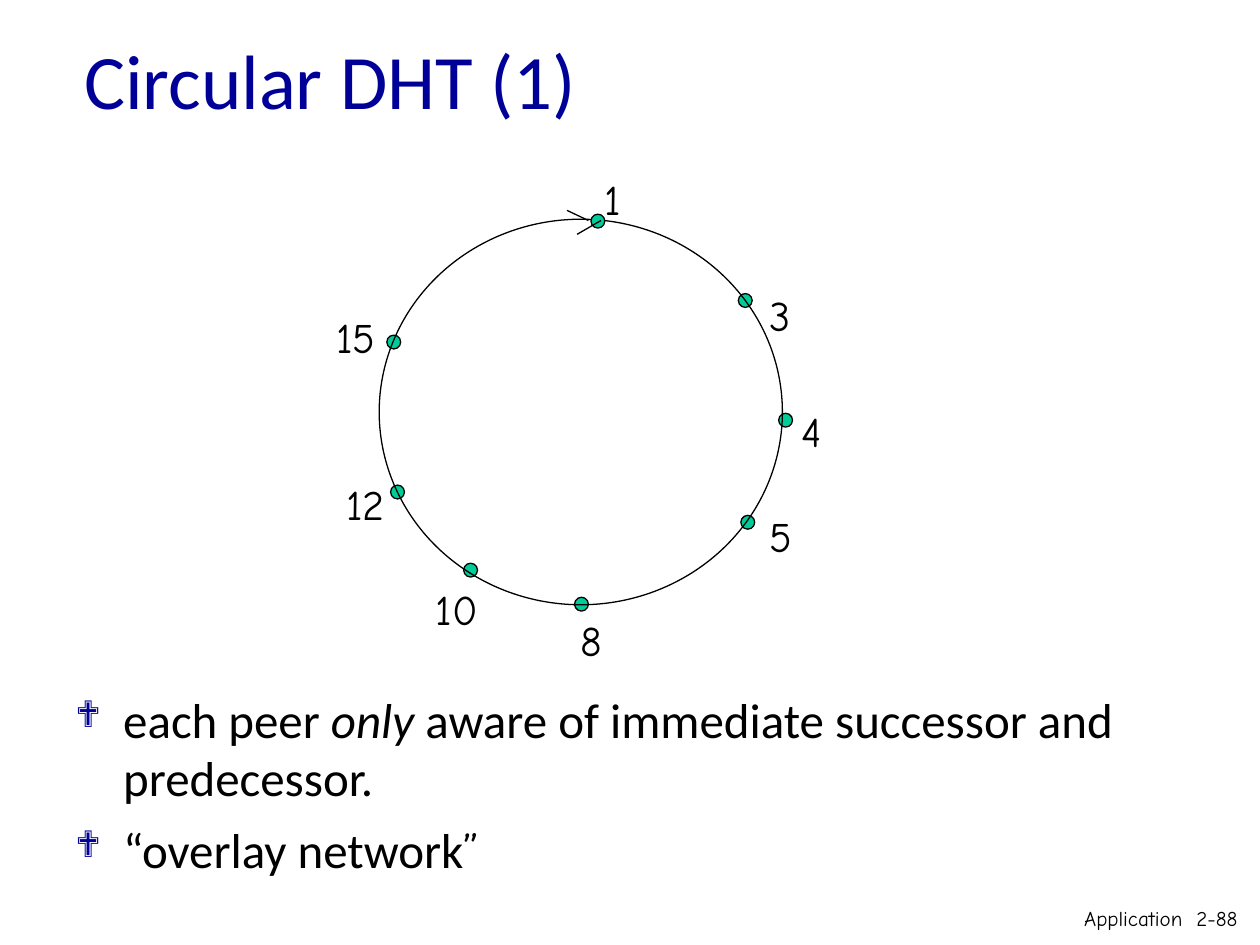
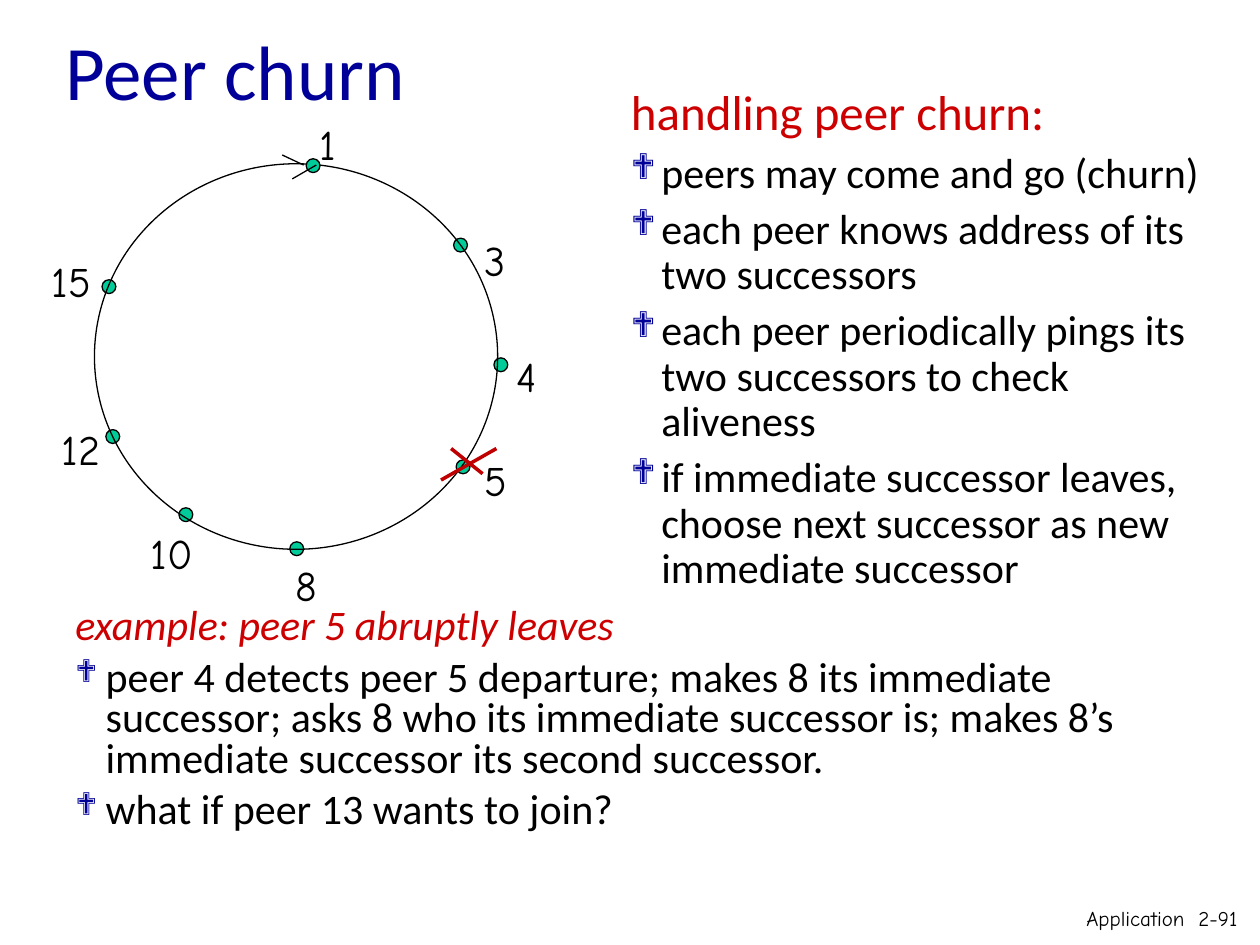
from pptx import Presentation
from pptx.dml.color import RGBColor
from pptx.enum.shapes import MSO_CONNECTOR as CONN, MSO_SHAPE as SHAPE
from pptx.enum.text import MSO_ANCHOR as ANCHOR, PP_ALIGN as ALIGN
from pptx.oxml.ns import qn
from pptx.util import Inches, Pt
from lxml.etree import SubElement

COLORS = {"title": "000099", "text": "000000", "heading": "CC0000",
          "dot": "00CC99", "cross": "C00000"}
BODY, HAND, SYMBOL = "Calibri", "Comic Neue", "Wingdings"
DOT = 0.11
RING_W, RING_H = 3.2, 3.06

PEERS = [
    ("8", (1.55, 3), (1.5, 3.09, 0.37)),
    ("15", (0.06, 0.92), (-0.44, 0.68, 0.51)),
    ("12", (0.09, 2.11), (-0.36, 2.01, 0.5)),
    ("3", (2.85, 0.59), (3, 0.51, 0.37)),
    ("4", (3.17, 1.54), (3.25, 1.43, 0.36)),
    ("5", (2.87, 2.35), (3, 2.26, 0.38)),
    ("10", (0.67, 2.73), (0.35, 2.84, 0.53)),
    ("1", (1.68, -0.04), (1.69, -0.41, 0.33)),
]
ARROW = [(1.49, -0.07, 1.66, 0.01), (1.76, 0.01, 1.57, 0.12)]
CROSS = [(2.83, 2.26, 3.08, 2.46), (3.19, 2.26, 2.75, 2.51)]


class Deck:
    """Holds the shared style and the current slide, and draws each kind of element."""

    def __init__(self):
        self.prs = Presentation()
        self.prs.slide_width, self.prs.slide_height = Inches(10), Inches(7.5)
        self.s = None

    def slide(self):
        self.s = self.prs.slides.add_slide(self.prs.slide_layouts[6])

    def font(self, r, size, color="text", name=BODY, italic=False):
        r.font.name, r.font.size, r.font.italic = name, Pt(size), italic
        r.font.color.rgb = RGBColor.from_string(COLORS[color])

    def box(self, x, y, w, h, into=None):
        shapes = into or self.s.shapes
        tf = shapes.add_textbox(Inches(x), Inches(y), Inches(w), Inches(h)).text_frame
        tf.word_wrap = True
        return tf

    def title(self, text, x, w, h):
        tf = self.box(x, 0, w, h)
        tf.vertical_anchor = ANCHOR.MIDDLE
        tf.text = text
        self.font(tf.paragraphs[0].runs[0], 44, "title")

    def footer(self, number):
        tf = self.box(8.33, 7.14, 1.59, 0.31)
        tf.text = f"Application  2-{number}"
        p = tf.paragraphs[0]
        p.alignment = ALIGN.RIGHT
        self.font(p.runs[0], 12, name=HAND)

    def paragraph(self, tf, runs, size, before, spacing=None, color="text"):
        p = tf.add_paragraph() if tf.text else tf.paragraphs[0]
        p.space_before, p.line_spacing = Pt(before), spacing
        for text, style in runs:
            r = p.add_run()
            r.text = text
            self.font(r, size, color, **style)
        return p

    def bullet(self, tf, runs, size, before, spacing=None, indent=0.24, scale=75):
        p = self.paragraph(tf, runs, size, before, spacing)
        pPr = p._p.get_or_add_pPr()
        pPr.set("marL", str(Inches(indent)))
        pPr.set("indent", str(-Inches(indent)))
        clr = SubElement(pPr, qn("a:buClr"))
        SubElement(clr, qn("a:srgbClr"), val=COLORS["title"])
        SubElement(pPr, qn("a:buSzPct"), val=str(scale * 1000))
        SubElement(pPr, qn("a:buFont"), typeface=SYMBOL)
        SubElement(pPr, qn("a:buChar"), char="❖")

    def ellipse(self, into, x, y, w, h, fill=None):
        sp = into.add_shape(SHAPE.OVAL, Inches(x), Inches(y), Inches(w), Inches(h))
        sp.shadow.inherit = False
        if fill:
            sp.fill.solid()
            sp.fill.fore_color.rgb = RGBColor.from_string(COLORS[fill])
        else:
            sp.fill.background()
        sp.line.color.rgb = RGBColor.from_string(COLORS["text"])
        sp.line.width = Pt(0.75)

    def lines(self, x, y, segments, color="text", width=0.75):
        for x1, y1, x2, y2 in segments:
            cn = self.s.shapes.add_connector(CONN.STRAIGHT, Inches(x + x1), Inches(y + y1),
                                             Inches(x + x2), Inches(y + y2))
            cn.line.color.rgb = RGBColor.from_string(COLORS[color])
            cn.line.width = Pt(width)
            SubElement(cn._element.spPr, qn("a:effectLst"))

    def peer_label(self, into, text, x, y, w):
        tf = self.box(x, y, w, 0.5, into)
        tf.margin_right = 0
        tf.text = text
        p = tf.paragraphs[0]
        p.space_before = Pt(6)
        self.font(p.runs[0], 24, name=HAND)

    def ring(self, x, y):
        group = self.s.shapes.add_group_shape().shapes
        for name, (dx, dy), (lx, ly, w) in PEERS:
            if name == "1":
                self.ellipse(group, x, y, RING_W, RING_H)
            self.ellipse(group, x + dx, y + dy, DOT, DOT, "dot")
            self.peer_label(group, name, x + lx, y + ly, w)
        self.lines(x, y, ARROW)


def circular_dht(d):
    d.slide()
    d.ring(3.01, 1.74)
    d.title("Circular DHT (1)", 0.57, 8.5, 1.25)
    tf = d.box(0.5, 5.42, 9, 1.67)
    d.bullet(tf, [("each peer ", {}), ("only", {"italic": True}),
                  (" aware of immediate successor and predecessor.", {})], 28, 7, indent=0.38)
    d.bullet(tf, [("“overlay network", {}), ("”", {"name": HAND})], 28, 7, indent=0.38)
    d.footer(88)


def peer_churn(d):
    d.slide()
    d.title("Peer churn", 0.42, 9, 1.11)
    tf = d.box(0.5, 4.78, 9, 2.33)
    d.paragraph(tf, [("example: peer 5 abruptly leaves", {"italic": True})],
                24, 6.5, 0.8, "heading")
    for text in ("peer 4 detects peer 5 departure; makes 8 its immediate successor; "
                 "asks 8 who its immediate successor is; makes 8’s immediate successor "
                 "its second successor.",
                 "what if peer 13 wants to join?"):
        d.bullet(tf, [(text, {})], 24, 6.5, 0.8)
    d.ring(0.75, 1.3)
    d.lines(0.75, 1.3, CROSS, "cross", 2)
    tf = d.box(4.91, 0.6, 4.84, 5.72)
    d.paragraph(tf, [("handling peer churn:", {})], 28, 7, color="heading")
    for text in ("peers may come and go (churn)",
                 "each peer knows address of its two successors",
                 "each peer periodically pings its two successors to check aliveness",
                 "if immediate successor leaves, choose next successor as new "
                 "immediate successor"):
        d.bullet(tf, [(text, {})], 24, 6, Pt(26), scale=85)
    d.footer(91)


def main():
    d = Deck()
    circular_dht(d)
    peer_churn(d)
    d.prs.save("out.pptx")


if __name__ == "__main__":
    main()
